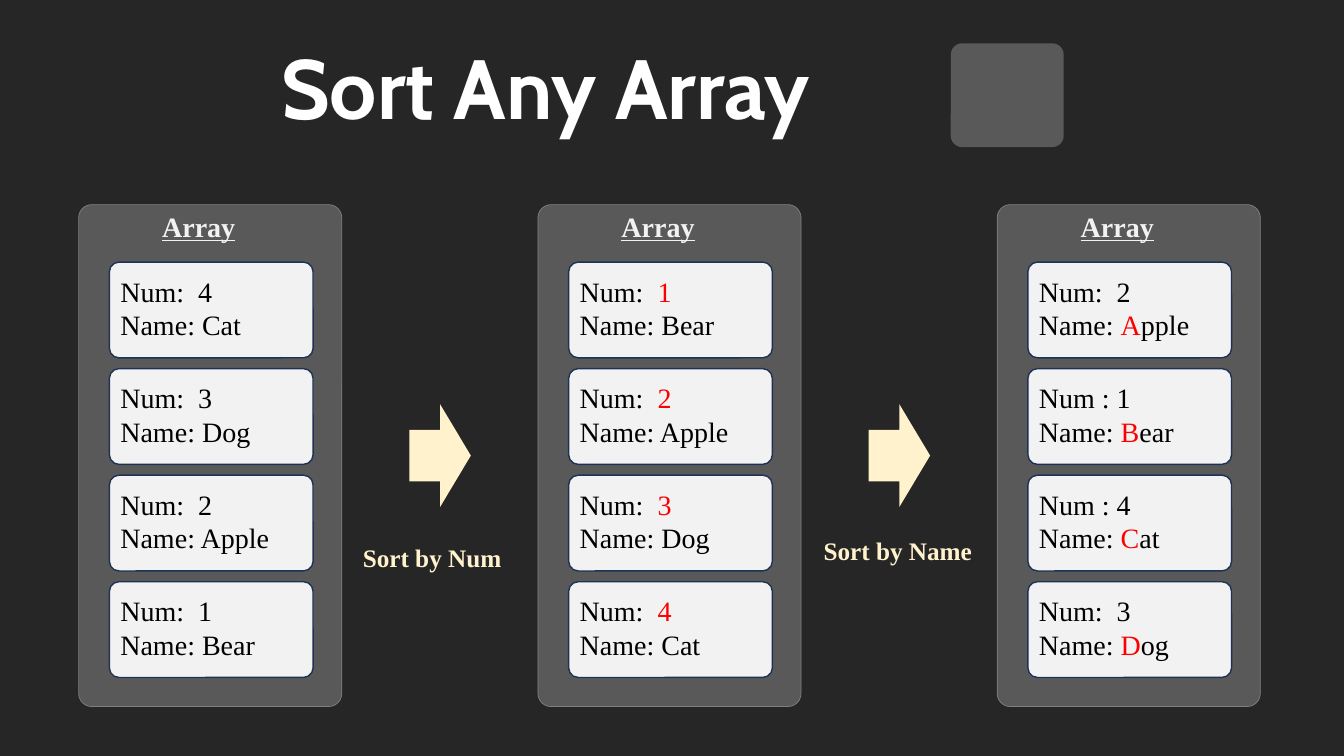
from dataclasses import dataclass

from pptx import Presentation
from pptx.dml.color import RGBColor
from pptx.enum.shapes import MSO_SHAPE
from pptx.enum.text import MSO_AUTO_SIZE
from pptx.util import Inches, Pt

ROUNDED = MSO_SHAPE.ROUNDED_RECTANGLE
RIGHT_ARROW = MSO_SHAPE.RIGHT_ARROW
FIT_SHAPE = MSO_AUTO_SIZE.SHAPE_TO_FIT_TEXT


@dataclass(frozen=True)
class Theme:
    background: str = "262626"
    panel: str = "595959"
    panel_line: str = "808080"
    card: str = "F2F2F2"
    card_line: str = "1E3256"
    accent: str = "FFF2CC"
    title: str = "FFFFFF"
    text: str = "000000"
    highlight: str = "FF0000"
    title_font: str = "Cabin"
    body_font: str = "Times New Roman"
    title_size: int = 60
    body_size: int = 20
    caption_size: int = 18


THEME = Theme()
COLUMN_LEFT = 0.78
COLUMN_STEP = 4.555
COLUMN_TOP = 2.03
CARD_TOP = 2.6
CARD_STEP = 1.057

ARRAYS = [
    [
        [("Num:  4", "", ""), ("Name: Cat", "", "")],
        [("Num:  3", "", ""), ("Name: Dog", "", "")],
        [("Num:  2", "", ""), ("Name: Apple", "", "")],
        [("Num:  1", "", ""), ("Name: Bear", "", "")],
    ],
    [
        [("Num:  ", "1", ""), ("Name: Bear", "", "")],
        [("Num:  ", "2", ""), ("Name: Apple", "", "")],
        [("Num:  ", "3", ""), ("Name: Dog", "", "")],
        [("Num:  ", "4", ""), ("Name: Cat", "", "")],
    ],
    [
        [("Num:  2", "", ""), ("Name: ", "A", "pple")],
        [("Num : 1", "", ""), ("Name: ", "B", "ear")],
        [("Num : 4", "", ""), ("Name: ", "C", "at")],
        [("Num:  3", "", ""), ("Name: ", "D", "og")],
    ],
]

SORT_STEPS = [
    ("Sort by Num", 3.5, 5.33, 1.79),
    ("Sort by Name", 8.07, 5.26, 1.69),
]


def add_box(slide, kind, left, top, width, height, fill, line=None, line_width=1):
    shape = slide.shapes.add_shape(
        kind, Inches(left), Inches(top), Inches(width), Inches(height)
    )
    shape.shadow.inherit = False
    shape.fill.solid()
    shape.fill.fore_color.rgb = RGBColor.from_string(fill)
    if line:
        shape.line.color.rgb = RGBColor.from_string(line)
        shape.line.width = Pt(line_width)
    else:
        shape.line.fill.background()
    return shape


def add_text_frame(slide, left, top, width, height):
    text_box = slide.shapes.add_textbox(
        Inches(left), Inches(top), Inches(width), Inches(height)
    )
    text_frame = text_box.text_frame
    text_frame.word_wrap = True
    text_frame.auto_size = FIT_SHAPE
    return text_frame


def format_font(font, name, size, color, bold=False, underline=False):
    font.name = name
    font.size = Pt(size)
    font.color.rgb = RGBColor.from_string(color)
    font.bold = bold
    font.underline = underline


def add_label(slide, text, left, top, width, height, name, size, color, underline=False):
    text_frame = add_text_frame(slide, left, top, width, height)
    text_frame.text = text
    run = text_frame.paragraphs[0].runs[0]
    format_font(run.font, name, size, color, True, underline)


def add_card(slide, left, top, lines):
    card = add_box(slide, ROUNDED, left, top, 2.02, 0.95, THEME.card, THEME.card_line)
    card.adjustments[0] = 0.1
    text_frame = add_text_frame(slide, left + 0.01, top + 0.07, 1.92, 0.77)
    for index, parts in enumerate(lines):
        paragraph = text_frame.add_paragraph() if index else text_frame.paragraphs[0]
        for text, color in zip(parts, (THEME.text, THEME.highlight, THEME.text)):
            if text:
                run = paragraph.add_run()
                run.text = text
                format_font(run.font, THEME.body_font, THEME.body_size, color)


def add_array(slide, left, cards):
    panel = add_box(
        slide, ROUNDED, left, COLUMN_TOP, 2.61, 4.98,
        THEME.panel, THEME.panel_line, 0.5,
    )
    panel.adjustments[0] = 0.05
    add_label(
        slide, "Array", left + 0.73, COLUMN_TOP, 1.03, 0.44,
        THEME.body_font, THEME.body_size, THEME.card, underline=True,
    )
    for row, lines in enumerate(cards):
        add_card(slide, left + 0.305, CARD_TOP + row * CARD_STEP, lines)


def add_header(slide):
    add_label(
        slide, "Sort Any Array", 2.69, 0.3, 6.75, 1.11,
        THEME.title_font, THEME.title_size, THEME.title,
    )
    badge = add_box(slide, ROUNDED, 9.43, 0.43, 1.12, 1.03, THEME.panel)
    badge.adjustments[0] = 0.11


def main():
    presentation = Presentation()
    presentation.slide_width = Inches(13.33)
    presentation.slide_height = Inches(7.5)
    slide = presentation.slides.add_slide(presentation.slide_layouts[6])
    slide.background.fill.solid()
    slide.background.fill.fore_color.rgb = RGBColor.from_string(THEME.background)

    add_header(slide)
    for column, cards in enumerate(ARRAYS):
        add_array(slide, COLUMN_LEFT + column * COLUMN_STEP, cards)
    for step, (caption, left, top, width) in enumerate(SORT_STEPS):
        arrow_left = COLUMN_LEFT + 3.28 + step * COLUMN_STEP
        add_box(slide, RIGHT_ARROW, arrow_left, 4.01, 0.61, 1.02, THEME.accent)
        add_label(
            slide, caption, left, top, width, 0.4,
            THEME.body_font, THEME.caption_size, THEME.accent,
        )
    presentation.save("out.pptx")


if __name__ == "__main__":
    main()
